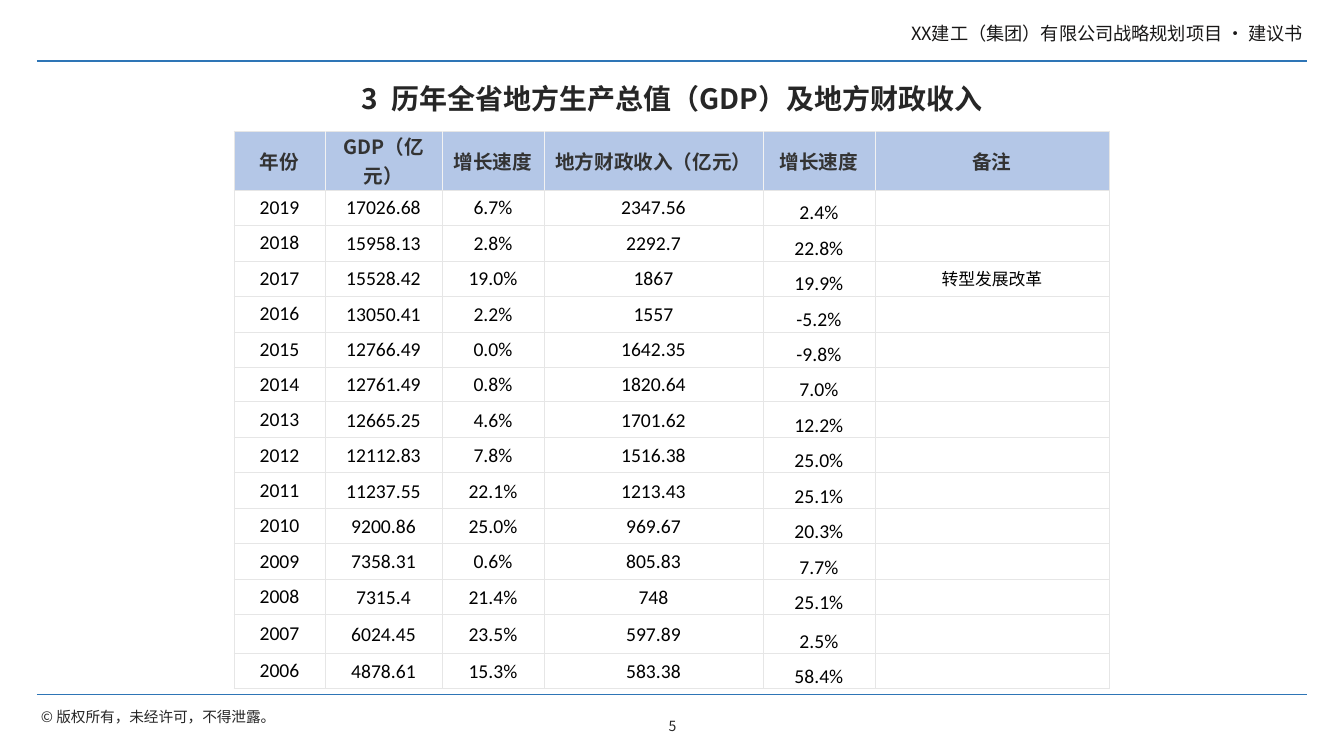
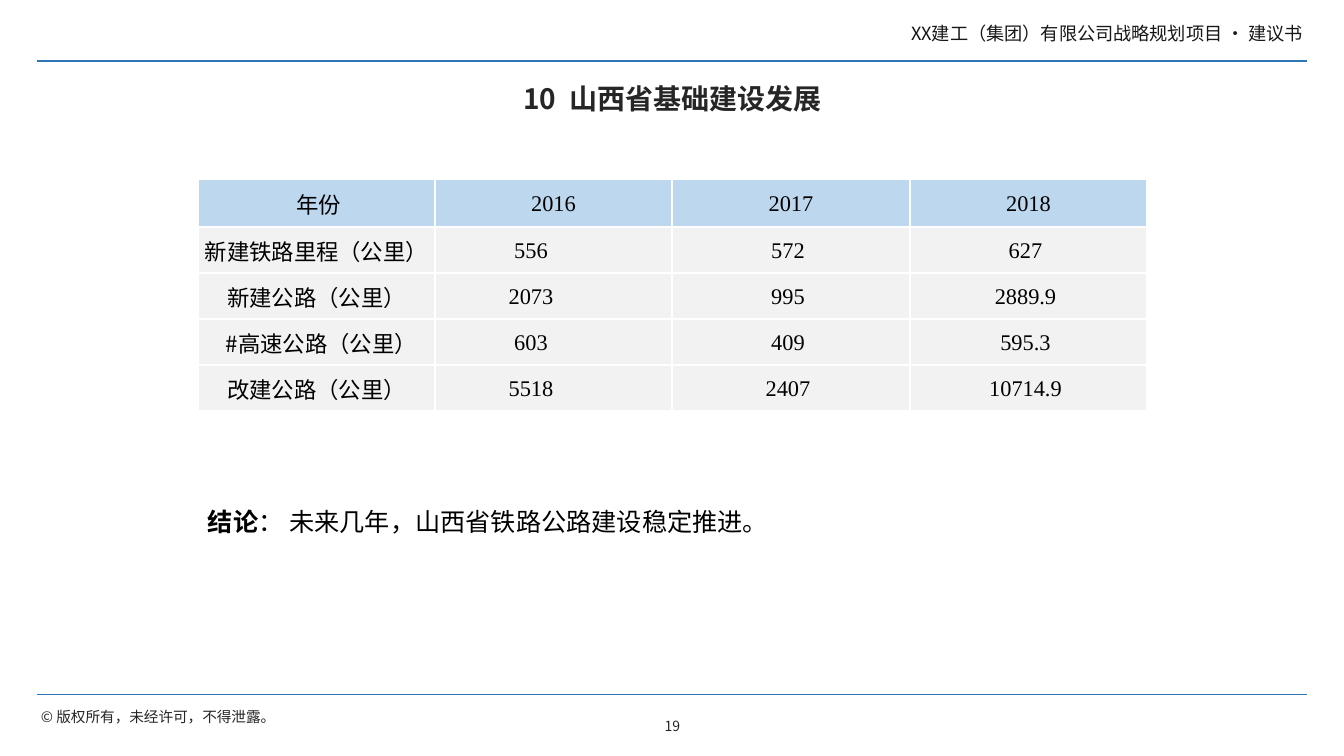
from dataclasses import dataclass, replace
from typing import Callable, Sequence

from lxml.etree import SubElement
from pptx import Presentation
from pptx.dml.color import RGBColor
from pptx.enum.shapes import MSO_CONNECTOR
from pptx.enum.text import MSO_ANCHOR, PP_ALIGN
from pptx.oxml import parse_xml
from pptx.oxml.ns import nsdecls, qn
from pptx.util import Emu, Pt

PX = 914400 / 100.8
COLORS = {
    "rule": "2E75B6",
    "header": "181717",
    "ink": "262626",
    "black": "000000",
    "head_text": "333333",
    "head_fill": "B4C7E7",
    "grid": "E6E6E6",
    "head_grid": "F2F2F2",
    "road_head": "BDD7EE",
    "road_body": "F2F2F2",
    "white": "FFFFFF",
}
SANS, NUMBER, SERIF = "Noto Sans CJK SC", "Calibri", "Times New Roman"

GDP_HEADS = ("年份", "GDP（亿元）", "增长速度", "地方财政收入（亿元）", "增长速度", "备注")
GDP_ROWS = (
    ("2019", "17026.68", "6.7%", "2347.56", "2.4%", ""),
    ("2018", "15958.13", "2.8%", "2292.7", "22.8%", ""),
    ("2017", "15528.42", "19.0%", "1867", "19.9%", "转型发展改革"),
    ("2016", "13050.41", "2.2%", "1557", "-5.2%", ""),
    ("2015", "12766.49", "0.0%", "1642.35", "-9.8%", ""),
    ("2014", "12761.49", "0.8%", "1820.64", "7.0%", ""),
    ("2013", "12665.25", "4.6%", "1701.62", "12.2%", ""),
    ("2012", "12112.83", "7.8%", "1516.38", "25.0%", ""),
    ("2011", "11237.55", "22.1%", "1213.43", "25.1%", ""),
    ("2010", "9200.86", "25.0%", "969.67", "20.3%", ""),
    ("2009", "7358.31", "0.6%", "805.83", "7.7%", ""),
    ("2008", "7315.4", "21.4%", "748", "25.1%", ""),
    ("2007", "6024.45", "23.5%", "597.89", "2.5%", ""),
    ("2006", "4878.61", "15.3%", "583.38", "58.4%", ""),
)
ROAD_ROWS = (
    ("年份", "2016", "2017", "2018"),
    ("新建铁路里程（公里）", "556", "572", "627"),
    ("新建公路（公里）", "2073", "995", "2889.9"),
    ("#高速公路（公里）", "603", "409", "595.3"),
    ("改建公路（公里）", "5518", "2407", "10714.9"),
)


@dataclass(frozen=True)
class TextLook:
    size: float
    color: str = "ink"
    font: str = SANS
    bold: bool = False


@dataclass(frozen=True)
class Box:
    left: int
    top: int
    width: int
    height: int


@dataclass(frozen=True)
class CellLook:
    """Insets and edge colours both run left, top, right, bottom."""
    text: TextLook
    fill: str | None
    edges: tuple[str, str, str, str]
    edge_width: float
    insets: tuple[int, int, int, int] = (1, 1, 1, 0)
    anchor: MSO_ANCHOR = MSO_ANCHOR.MIDDLE


def px(length: float) -> Emu:
    return Emu(round(length * PX))


def rgb(name: str) -> RGBColor:
    return RGBColor.from_string(COLORS[name])


def split(total: int, count: int) -> list[int]:
    """Whole-pixel parts that differ by one at most and add up to the total."""
    edges = [round(total * step / count) for step in range(count + 1)]
    return [end - start for start, end in zip(edges, edges[1:])]


def format_span(span, look: TextLook) -> None:
    span.font.name = look.font
    span.font.size = Pt(look.size)
    span.font.bold = look.bold
    span.font.color.rgb = rgb(look.color)
    SubElement(span.font._element, qn("a:ea")).set("typeface", look.font)


def format_paragraph(para, look: TextLook, align: PP_ALIGN) -> None:
    para.alignment = align
    for span in para.runs:
        format_span(span, look)
    if not para.runs:
        SubElement(para._p, qn("a:endParaRPr")).set("sz", str(int(look.size * 100)))


def set_insets(owner, insets: Sequence[int]) -> None:
    owner.margin_left, owner.margin_top, owner.margin_right, owner.margin_bottom = map(px, insets)


def add_text(page, place: Box, text: str, look: TextLook, align: PP_ALIGN = PP_ALIGN.LEFT,
             anchor: MSO_ANCHOR = MSO_ANCHOR.TOP, insets: Sequence[int] = (10, 5, 10, 5),
             wrap: bool = True):
    box = page.shapes.add_textbox(px(place.left), px(place.top), px(place.width), px(place.height))
    frame = box.text_frame
    frame.word_wrap = wrap
    frame.vertical_anchor = anchor
    set_insets(frame, insets)
    frame.text = text
    format_paragraph(frame.paragraphs[0], look, align)
    return box


def add_rule(page, top: int, width: float):
    rule = page.shapes.add_connector(MSO_CONNECTOR.STRAIGHT, px(37), px(top), px(1307), px(top))
    rule.line.color.rgb = rgb("rule")
    rule.line.width = Pt(width)
    SubElement(rule._element.spPr, qn("a:effectLst"))
    return rule


def prepare_layout(layout) -> None:
    """Place the title and drop the footer placeholders."""
    for holder in list(layout.placeholders):
        if holder.placeholder_format.idx:
            holder.element.getparent().remove(holder.element)
        else:
            holder.left, holder.top, holder.width, holder.height = map(px, (38, 68, 1269, 64))


def move_frame_to_layout(page, layout) -> None:
    """Draw the shared bands on a page, then hand them to the layout."""
    tight = (4, 4, 4, 4)
    frame = (
        add_rule(page, 61, 1.5),
        add_rule(page, 695, 0.75),
        add_text(page, Box(688, 18, 619, 30), "XX建工（集团）有限公司战略规划项目 · 建议书",
                 TextLook(13, "header"), PP_ALIGN.RIGHT, insets=tight),
        add_text(page, Box(37, 704, 249, 26), "© 版权所有，未经许可，不得泄露。",
                 TextLook(10.5), anchor=MSO_ANCHOR.MIDDLE, insets=tight, wrap=False),
    )
    for shape in frame:
        layout.shapes.element.append(shape.element)


def add_page(deck, layout, title: str, number: int):
    page = deck.slides.add_slide(layout)
    frame = page.shapes.title.text_frame
    frame.text = title
    frame.vertical_anchor = MSO_ANCHOR.MIDDLE
    frame.paragraphs[0].line_spacing = 0.9
    format_paragraph(frame.paragraphs[0], TextLook(20, bold=True), PP_ALIGN.CENTER)
    add_text(page, Box(614, 706, 117, 40), str(number), TextLook(10),
             PP_ALIGN.CENTER, MSO_ANCHOR.MIDDLE)
    return page


def format_cell(cell, text: str, look: CellLook) -> None:
    cell.text_frame.text = text
    format_paragraph(cell.text_frame.paragraphs[0], look.text, PP_ALIGN.CENTER)
    cell.vertical_anchor = look.anchor
    set_insets(cell, look.insets)
    if look.fill:
        cell.fill.solid()
        cell.fill.fore_color.rgb = rgb(look.fill)
    else:
        cell.fill.background()
    left, top, right, bottom = look.edges
    properties = cell._tc.get_or_add_tcPr()
    for index, (side, color) in enumerate(zip("LRTB", (left, right, top, bottom))):
        properties.insert(index, parse_xml(
            f'<a:ln{side} {nsdecls("a")} w="{Pt(look.edge_width)}"><a:solidFill>'
            f'<a:srgbClr val="{COLORS[color]}"/></a:solidFill></a:ln{side}>'))


def add_grid(page, left: int, top: int, widths: Sequence[int], heights: Sequence[int],
             rows: Sequence[Sequence[str]], look_at: Callable[[int, int], CellLook]) -> None:
    table = page.shapes.add_table(len(heights), len(widths), px(left), px(top),
                                  px(sum(widths)), px(sum(heights))).table
    table.first_row = table.horz_banding = False
    for column, width in zip(table.columns, widths):
        column.width = px(width)
    for row, height in zip(table.rows, heights):
        row.height = px(height)
    for row_index, row in enumerate(rows):
        for column_index, text in enumerate(row):
            format_cell(table.cell(row_index, column_index), text,
                        look_at(row_index, column_index))


def gdp_look(row: int, column: int) -> CellLook:
    last = len(GDP_HEADS) - 1
    roomy = (3, 1, 3, 1)
    if row == 0:
        edges = ("head_grid" if column > 0 else "grid", "grid",
                 "head_grid" if column < last else "grid", "grid")
        return CellLook(TextLook(14, "head_text", bold=True), "head_fill", edges, 0.5, roomy)
    body = CellLook(TextLook(14, "black", NUMBER), None, ("grid",) * 4, 0.5)
    if column == 4:
        return replace(body, anchor=MSO_ANCHOR.BOTTOM)
    if column == last:
        return replace(body, text=TextLook(12, "black"), insets=roomy)
    return replace(body, insets=roomy) if column == 0 else body


def road_look(row: int, column: int) -> CellLook:
    """Uneven side insets shift the centred text a little."""
    left, right = 1, 1
    if column == 0:
        left = {0: 6, 3: 11}.get(row, 1)
    elif row > 0:
        right = 46 if column == 1 else 7
    return CellLook(TextLook(16, "black", SERIF if column else SANS),
                    "road_body" if row else "road_head", ("white",) * 4, 1, (left, 1, right, 0))


def main() -> None:
    deck = Presentation()
    deck.slide_width, deck.slide_height = px(1344), px(756)
    layout = deck.slide_layouts[5]
    prepare_layout(layout)

    gdp_page = add_page(deck, layout, "3  历年全省地方生产总值（GDP）及地方财政收入", 5)
    move_frame_to_layout(gdp_page, layout)
    add_grid(gdp_page, 234, 131, (91, 117, 102, 219, 112, 234),
             (59, *split(425, 12), 39, 35), (GDP_HEADS, *GDP_ROWS), gdp_look)

    road_page = add_page(deck, layout, "10  山西省基础建设发展", 19)
    add_grid(road_page, 198, 179, split(949, 4), (48, 46, 46, 46, 46), ROAD_ROWS, road_look)
    conclusion = add_text(road_page, Box(198, 501, 974, 40), "结论", TextLook(18, "black", bold=True))
    span = conclusion.text_frame.paragraphs[0].add_run()
    span.text = "： 未来几年，山西省铁路公路建设稳定推进。"
    format_span(span, TextLook(18, "black"))

    deck.save("out.pptx")


if __name__ == "__main__":
    main()
